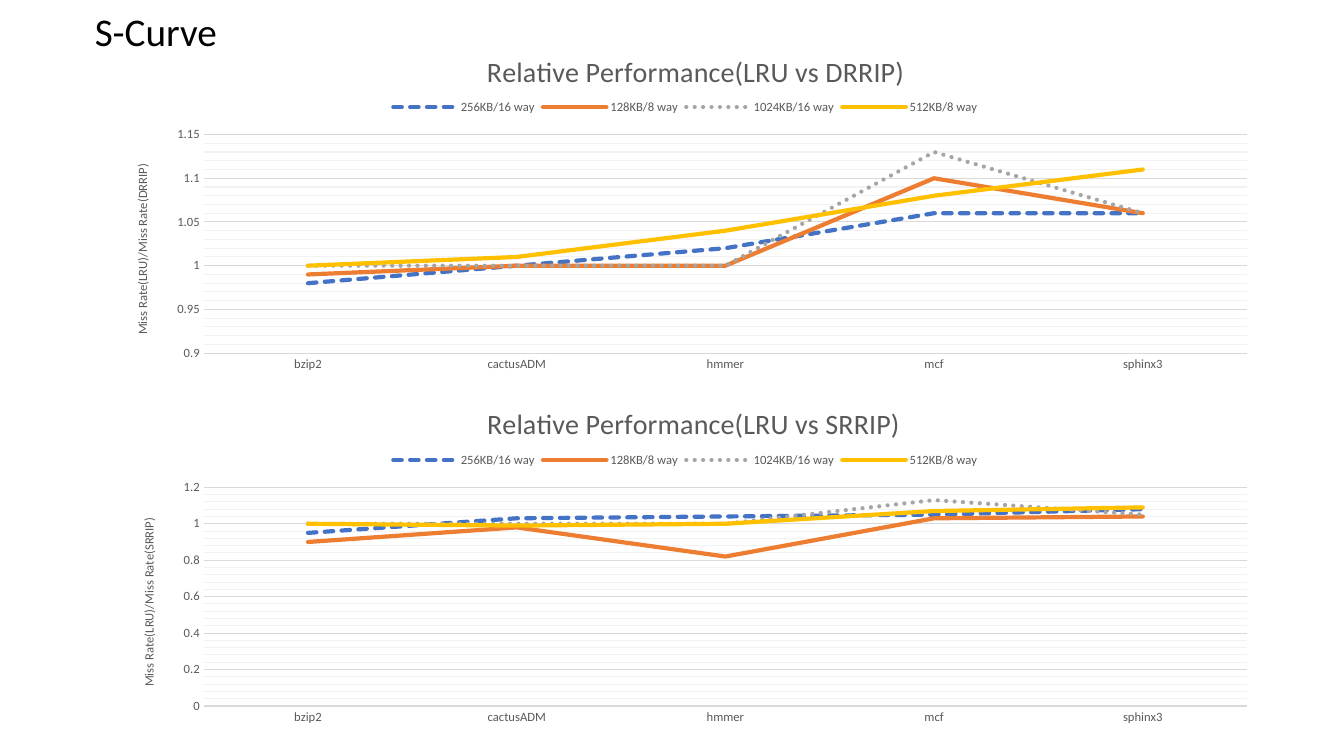
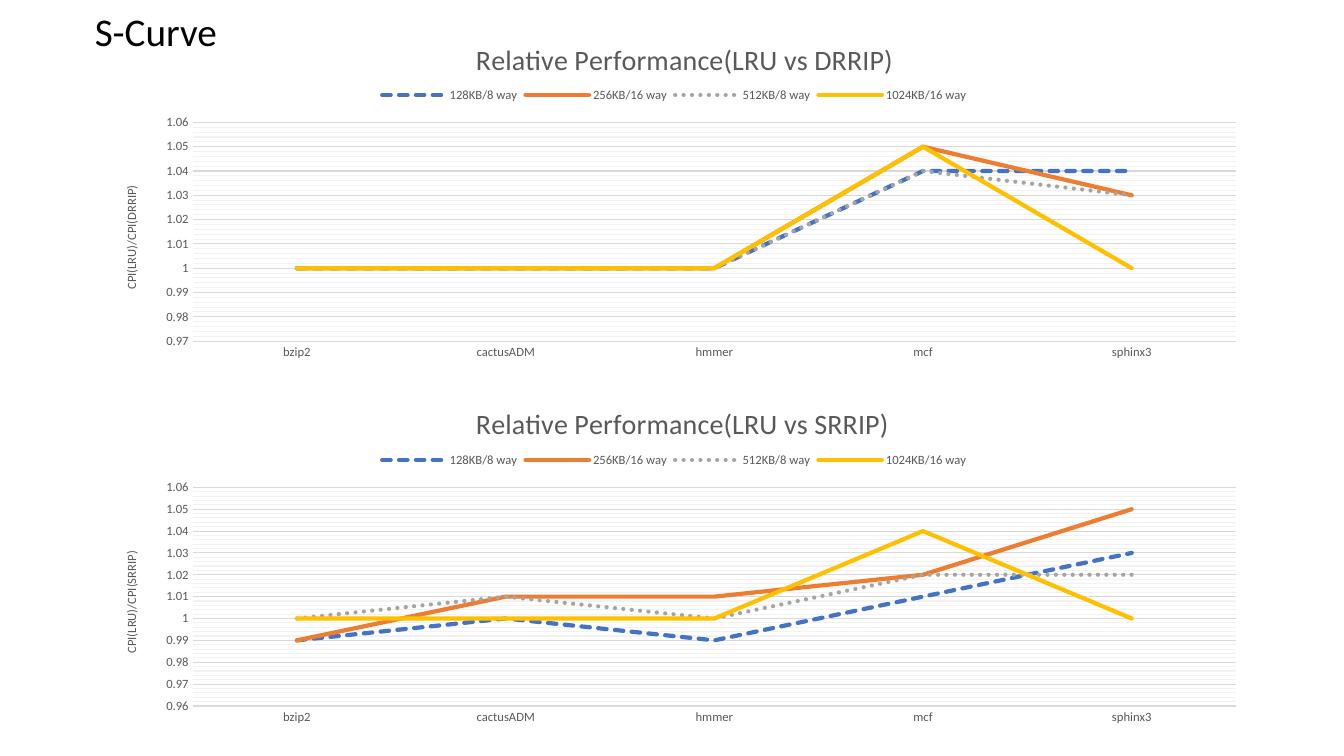
"""Build two S-curve slides that compare cache replacement policies."""
import pptx
import pptx.chart.data
import pptx.dml.color
import pptx.enum.chart
import pptx.enum.dml
import pptx.enum.text
import pptx.oxml
import pptx.oxml.ns
import pptx.util

RGBColor = pptx.dml.color.RGBColor
BLACK = RGBColor(0x00, 0x00, 0x00)
GRAY_TEXT = RGBColor(0x59, 0x59, 0x59)
MAJOR_GRID = RGBColor(0xD9, 0xD9, 0xD9)
MINOR_GRID = RGBColor(0xF2, 0xF2, 0xF2)
BLUE = RGBColor(0x44, 0x72, 0xC4)
ORANGE = RGBColor(0xED, 0x7D, 0x31)
SILVER = RGBColor(0xA5, 0xA5, 0xA5)
GOLD = RGBColor(0xFF, 0xC0, 0x00)

DASH = pptx.enum.dml.MSO_LINE.SQUARE_DOT
DOT = pptx.enum.dml.MSO_LINE.ROUND_DOT
CURVE_STYLES = [(BLUE, DASH), (ORANGE, None), (SILVER, DOT), (GOLD, None)]

FONT = "Calibri"
SLIDE_WIDTH, SLIDE_HEIGHT = 13.33, 7.5
CHART_WIDTH, CHART_HEIGHT = 11.5, 3.5
BENCHMARKS = ["bzip2", "cactusADM", "hmmer", "mcf", "sphinx3"]

SLIDES = [
    {
        "left": 1.1,
        "measure": "Miss Rate",
        "caches": ["256KB/16 way", "128KB/8 way", "1024KB/16 way", "512KB/8 way"],
        "charts": [
            ("DRRIP", 0.25, (0.9, 1.15, 0.05), [
                [0.98, 1, 1.02, 1.06, 1.06],
                [0.99, 1, 1, 1.1, 1.06],
                [1, 1, 1, 1.13, 1.06],
                [1, 1.01, 1.04, 1.08, 1.11],
            ]),
            ("SRRIP", 3.75, (0, 1.2, 0.2), [
                [0.95, 1.03, 1.04, 1.05, 1.08],
                [0.9, 0.98, 0.82, 1.03, 1.04],
                [1, 1, 1, 1.13, 1.05],
                [1, 0.99, 1, 1.07, 1.09],
            ]),
        ],
    },
    {
        "left": 0.99,
        "measure": "CPI",
        "caches": ["128KB/8 way", "256KB/16 way", "512KB/8 way", "1024KB/16 way"],
        "charts": [
            ("DRRIP", 0.13, (0.97, 1.06, 0.01), [
                [1, 1, 1, 1.04, 1.04],
                [1, 1, 1, 1.05, 1.03],
                [1, 1, 1, 1.04, 1.03],
                [1, 1, 1, 1.05, 1],
            ]),
            ("SRRIP", 3.75, (0.96, 1.06, 0.01), [
                [0.99, 1, 0.99, 1.01, 1.03],
                [0.99, 1.01, 1.01, 1.02, 1.05],
                [1, 1.01, 1, 1.02, 1.02],
                [1, 1, 1, 1.04, 1],
            ]),
        ],
    },
]


def style_font(font, size, color):
    """Apply the shared typeface with a size and colour."""
    font.name = FONT
    font.size = pptx.util.Pt(size)
    font.bold = False
    font.color.rgb = color


def write_text(frame, text, *, size, color=GRAY_TEXT, align=None, spacing=None):
    """Write one formatted paragraph into a text frame."""
    paragraph = frame.paragraphs[0]
    paragraph.alignment = align
    paragraph.line_spacing = spacing
    run = paragraph.add_run()
    run.text = text
    style_font(run.font, size, color)


def style_line(line, color, width=0.75):
    """Give a line a solid colour and a width in points."""
    line.color.rgb = color
    line.width = pptx.util.Pt(width)


def place_part(part, target=None, **shares):
    """Fix a chart part at shares of the chart's width and height."""
    namespace = pptx.oxml.ns.nsdecls("c")
    layout = part.find(pptx.oxml.ns.qn("c:layout"))
    if layout is None:
        layout = pptx.oxml.parse_xml(f"<c:layout {namespace}/>")
        part.insert(0, layout)
    settings = [("layoutTarget", target)] if target else []
    settings += [("xMode", "edge"), ("yMode", "edge"), *shares.items()]
    fields = "".join(f'<c:{tag} val="{value}"/>' for tag, value in settings)
    layout.append(pptx.oxml.parse_xml(
        f"<c:manualLayout {namespace}>{fields}</c:manualLayout>"))


def style_minor_grid(axis):
    """Show the axis's minor gridlines in the pale grid colour."""
    axis.has_minor_gridlines = True
    grid = axis._element.find(pptx.oxml.ns.qn("c:minorGridlines"))
    grid.append(pptx.oxml.parse_xml(
        f'<c:spPr {pptx.oxml.ns.nsdecls("c", "a")}>'
        f'<a:ln w="{pptx.util.Pt(0.75)}"><a:solidFill>'
        f'<a:srgbClr val="{MINOR_GRID}"/></a:solidFill></a:ln></c:spPr>'))


def style_axes(chart, value_title, scale):
    """Format both axes, the value scale and its gridlines."""
    benchmarks, ratio = chart.category_axis, chart.value_axis
    for axis in (benchmarks, ratio):
        axis.major_tick_mark = pptx.enum.chart.XL_TICK_MARK.NONE
        axis.minor_tick_mark = pptx.enum.chart.XL_TICK_MARK.NONE
        style_font(axis.tick_labels.font, 9, GRAY_TEXT)
    style_line(benchmarks.format.line, MAJOR_GRID)
    ratio.format.line.fill.background()
    ratio.minimum_scale, ratio.maximum_scale, ratio.major_unit = scale
    ratio.minor_unit = round(ratio.major_unit / 5, 3)
    ratio.tick_labels.number_format = "General"
    ratio.tick_labels.number_format_is_linked = False
    style_line(ratio.major_gridlines.format.line, MAJOR_GRID)
    style_minor_grid(ratio)
    write_text(ratio.axis_title.text_frame, value_title, size=9)


def style_curves(plot):
    """Draw each series as a straight, round-capped line."""
    plot.vary_by_categories = False
    for curve, (color, dash) in zip(plot.series, CURVE_STYLES):
        curve.smooth = False
        curve.marker.style = pptx.enum.chart.XL_MARKER_STYLE.NONE
        style_line(curve.format.line, color, 3)
        if dash is not None:
            curve.format.line.dash_style = dash
        curve._element.find(".//" + pptx.oxml.ns.qn("a:ln")).set("cap", "rnd")


def add_curve_chart(slide, left, top, measure, policy, caches, scale, ratios):
    """Add a line chart of one policy measured against LRU."""
    curves = pptx.chart.data.CategoryChartData()
    curves.categories = BENCHMARKS
    for cache, values in zip(caches, ratios):
        curves.add_series(cache, values)
    box = [pptx.util.Inches(n) for n in (left, top, CHART_WIDTH, CHART_HEIGHT)]
    chart = slide.shapes.add_chart(
        pptx.enum.chart.XL_CHART_TYPE.LINE, *box, curves).chart
    style_font(chart.font, 10, BLACK)
    write_text(chart.chart_title.text_frame,
               f"Relative Performance(LRU vs {policy})", size=20)
    chart.has_legend = True
    chart.legend.position = pptx.enum.chart.XL_LEGEND_POSITION.TOP
    chart.legend.include_in_layout = False
    style_font(chart.legend.font, 9, GRAY_TEXT)
    style_axes(chart, f"{measure}(LRU)/{measure}({policy})", scale)
    style_curves(chart.plots[0])
    place_part(chart.chart_title._element, x=0.32, y=0.06)
    place_part(chart.legend._element, x=0.24, y=0.2)
    place_part(chart.plots[0]._element.getparent(), "inner",
               x=0.08, y=0.31, w=0.9, h=0.62)


def add_title(slide, text):
    """Place and format the title placeholder."""
    title = slide.shapes.title
    title.left, title.top, title.width, title.height = (
        pptx.util.Inches(n) for n in (0.84, 0.08, 2.57, 0.52))
    title.text_frame.auto_size = pptx.enum.text.MSO_AUTO_SIZE.NONE
    title.text_frame.vertical_anchor = pptx.enum.text.MSO_ANCHOR.MIDDLE
    write_text(title.text_frame, text, size=28, color=BLACK,
               align=pptx.enum.text.PP_ALIGN.LEFT, spacing=0.9)


def main():
    """Build and save the presentation."""
    deck = pptx.Presentation()
    deck.slide_width = pptx.util.Inches(SLIDE_WIDTH)
    deck.slide_height = pptx.util.Inches(SLIDE_HEIGHT)
    for content in SLIDES:
        slide = deck.slides.add_slide(deck.slide_layouts[5])
        add_title(slide, "S-Curve")
        for policy, top, scale, ratios in content["charts"]:
            add_curve_chart(slide, content["left"], top, content["measure"],
                            policy, content["caches"], scale, ratios)
    deck.save("out.pptx")


if __name__ == "__main__":
    main()
